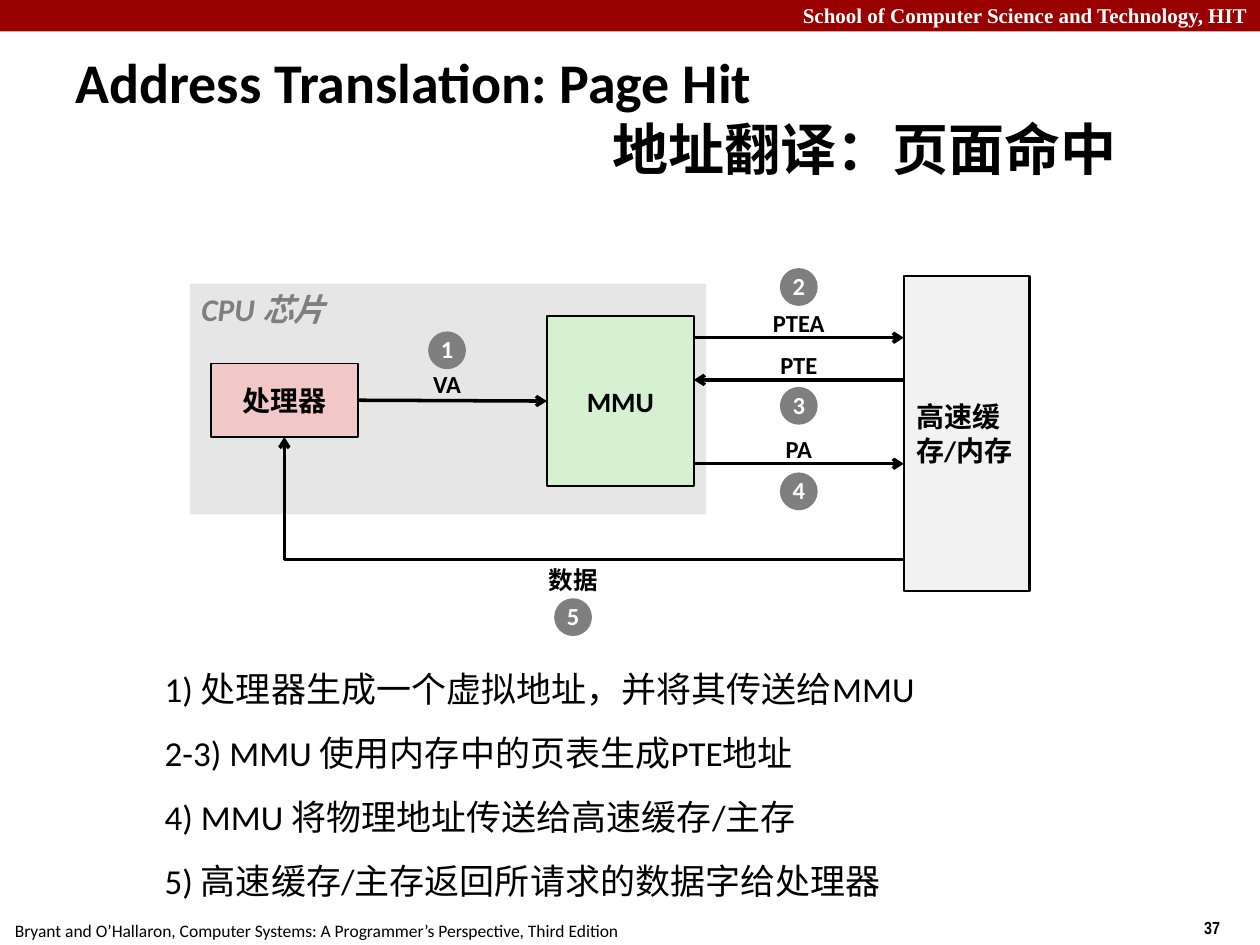
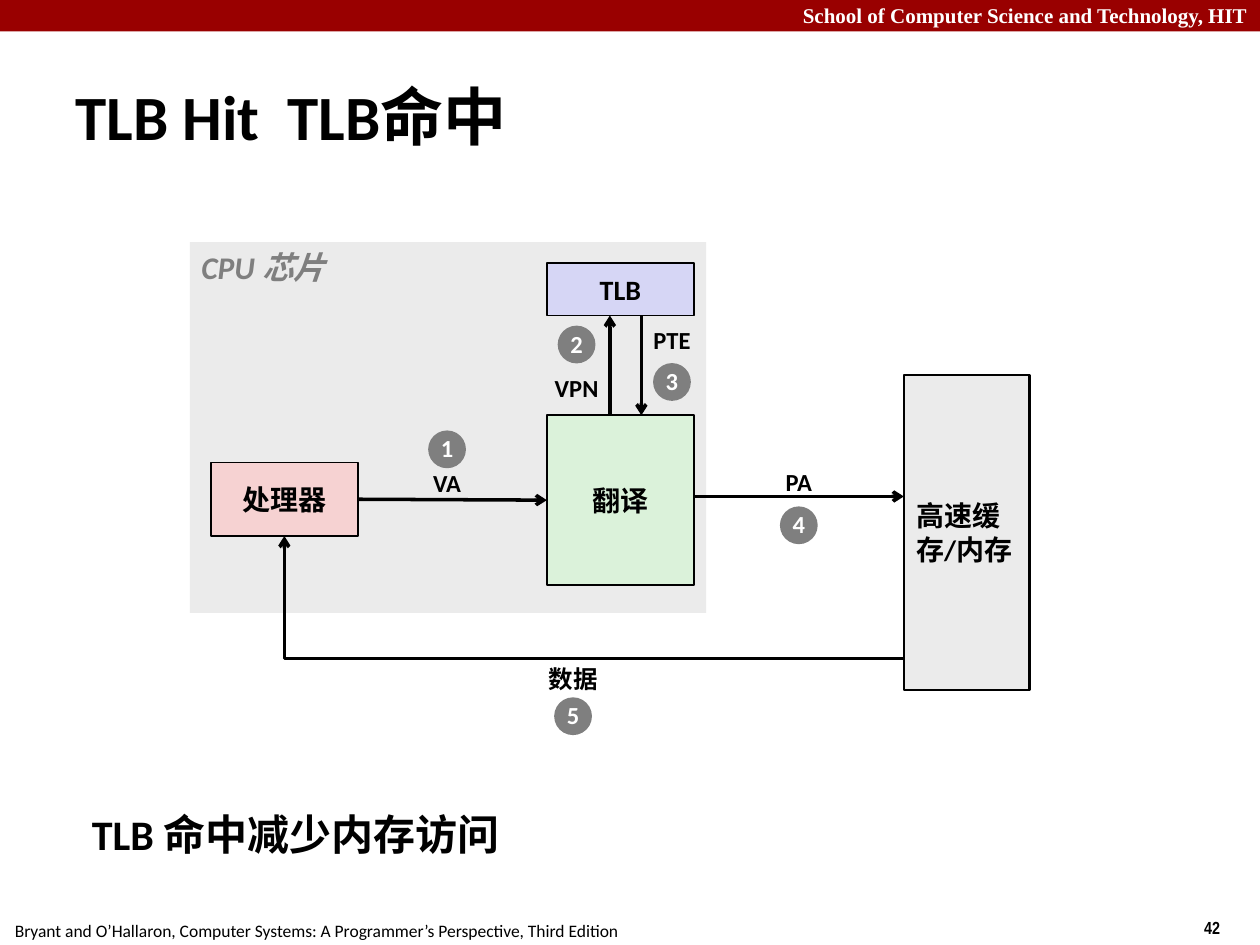
import dataclasses

import lxml.etree
import pptx
import pptx.dml.color
import pptx.enum.shapes
import pptx.enum.text
import pptx.oxml.ns
import pptx.util

Pt = pptx.util.Pt
SHAPE = pptx.enum.shapes.MSO_SHAPE
ALIGN = pptx.enum.text.PP_ALIGN
ANCHOR = pptx.enum.text.MSO_ANCHOR
qn = pptx.oxml.ns.qn


@dataclasses.dataclass(frozen=True)
class Theme:
    """Colours, fonts and type sizes of the deck."""
    band: str = "990000"
    ink: str = "000000"
    paper: str = "FFFFFF"
    grey: str = "7F7F7F"
    body_font: str = "Calibri"
    band_font: str = "Times New Roman"
    number_font: str = "Arial Narrow"
    footer_size: int = 10
    band_size: int = 12
    label_size: int = 14
    box_size: int = 16
    chip_size: int = 18
    list_size: int = 20
    note_size: int = 24
    title_size: int = 32
    big_title_size: int = 36


@dataclasses.dataclass(frozen=True)
class Palette:
    """Fills of the diagram boxes on one slide."""
    chip: str
    processor: str
    unit: str
    memory: str


T = Theme()
HIT_FILLS = Palette("E6E6E6", "F1C7C7", "D5F1CF", "F2F2F2")
TLB_FILLS = Palette("EBEBEB", "F6D2D2", "DBF2DA", "EBEBEB")
TLB_FILL = "D6D6F5"
SLIDE_W, SLIDE_H = 720, 540
DIAGRAM_X = 108.5
CIRCLE = 21.6
LINKS_X = 348


def rgb(value):
    """Turn a hex string into a colour."""
    return pptx.dml.color.RGBColor.from_string(value)


def write(sp, lines, size, color=T.ink, bold=True, italic=False, font=T.body_font,
          align=ALIGN.LEFT, anchor=ANCHOR.TOP, wrap=True, before=0, spacing=None):
    """Fill a shape with one paragraph for each line and return its paragraphs."""
    tf = sp.text_frame
    tf.word_wrap = wrap
    tf.vertical_anchor = anchor
    tf.text = "\n".join(lines)
    for p in tf.paragraphs:
        p.alignment = align
        p.space_before = Pt(before)
        p.line_spacing = spacing
        p.font.size = Pt(size)
        p.font.name = font
        p.font.bold = bold
        p.font.italic = italic
        p.font.color.rgb = rgb(color)
    return tf.paragraphs


def text(s, x, y, w, h, lines, size, **style):
    """Add a text box."""
    sp = s.shapes.add_textbox(Pt(x), Pt(y), Pt(w), Pt(h))
    return write(sp, lines, size, **style)


def shape(s, kind, x, y, w, h, fill, line=0):
    """Add a filled preset shape, outlined when a line width is given."""
    sp = s.shapes.add_shape(kind, Pt(x), Pt(y), Pt(w), Pt(h))
    sp.shadow.inherit = False
    sp.fill.solid()
    sp.fill.fore_color.rgb = rgb(fill)
    if line:
        sp.line.color.rgb = rgb(T.ink)
        sp.line.width = Pt(line)
    else:
        sp.line.fill.background()
    return sp


def box(s, x, y, w, h, lines, fill, line=1, align=ALIGN.CENTER):
    """Add a labelled box of the diagram."""
    sp = shape(s, SHAPE.RECTANGLE, x, y, w, h, fill, line)
    write(sp, lines, T.box_size, align=align, anchor=ANCHOR.MIDDLE, wrap=False)
    return sp


def arrow_line(sp):
    """Draw a line as a black arrow."""
    sp.line.color.rgb = rgb(T.ink)
    sp.line.width = Pt(2)
    ln = sp._element.spPr.find(qn("a:ln"))
    lxml.etree.SubElement(ln, qn("a:tailEnd"), type="arrow")


def arrow(s, x1, y1, x2, y2):
    """Add a straight arrow."""
    c = s.shapes.add_connector(pptx.enum.shapes.MSO_CONNECTOR.STRAIGHT,
                               Pt(x1), Pt(y1), Pt(x2), Pt(y2))
    arrow_line(c)
    lxml.etree.SubElement(c._element.spPr, qn("a:effectLst"))
    return c


def step(s, number, name, x, label_y, circle_y):
    """Add a signal name and its numbered circle, both centred on x."""
    text(s, x - 22, label_y - 12, 44, 24, [name], T.label_size, align=ALIGN.CENTER,
         anchor=ANCHOR.MIDDLE, wrap=False, spacing=0.98)
    sp = shape(s, SHAPE.OVAL, x - CIRCLE / 2, circle_y - CIRCLE / 2, CIRCLE, CIRCLE, T.grey)
    write(sp, [str(number)], T.label_size, color=T.paper, align=ALIGN.CENTER,
          anchor=ANCHOR.MIDDLE, wrap=False, spacing=0.98)


def frame(prs, number):
    """Add a slide with the top band and the footer."""
    s = prs.slides.add_slide(prs.slide_layouts[6])
    shape(s, SHAPE.RECTANGLE, 0, 0, SLIDE_W, 18, T.band)
    text(s, 0, -2, SLIDE_W, 22, ["School of Computer Science and Technology, HIT"],
         T.band_size, color=T.paper, font=T.band_font, align=ALIGN.RIGHT)
    text(s, 1.4, 522, 380, 19.4,
         ["Bryant and O’Hallaron, Computer Systems: A Programmer’s Perspective, Third Edition"],
         T.footer_size, bold=False)
    text(s, 681, 520.6, 39, 19.4, [str(number)], T.footer_size, font=T.number_font)
    return s


def title(s, lines, size):
    """Add the slide title and return its paragraphs."""
    return text(s, 36, 34.6, 684, 62, lines, size, anchor=ANCHOR.MIDDLE)


def data_loop(s, x1, y1, x2, y2):
    """Add the arrow that runs left and then up, back to the processor."""
    fb = s.shapes.build_freeform(Pt(x1), Pt(y1), scale=1.0)
    fb.add_line_segments([(Pt(x2), Pt(y1)), (Pt(x2), Pt(y2))], close=False)
    sp = fb.convert_to_shape()
    sp.shadow.inherit = False
    sp.fill.background()
    arrow_line(sp)


def cpu_diagram(s, x, y, chip_top, chip_h, unit_name, fills):
    """Draw chip, processor, unit, memory, VA arrow and data loop from a corner."""
    shape(s, SHAPE.RECTANGLE, x, y + chip_top, 295, chip_h, fills.chip)
    text(s, x - 0.5, y + chip_top, 150, 29, ["CPU 芯片"], T.chip_size,
         color=T.grey, italic=True)
    processor = box(s, x + 12, y + 50, 84, 42, ["处理器"], fills.processor)
    unit = box(s, x + 204, y + 23, 84, 97, [unit_name], fills.unit)
    box(s, x + 408, y, 72, 180, ["高速缓", "存/内存"], fills.memory, 1.5, ALIGN.LEFT)
    va = arrow(s, x + 96, y + 71, x + 204, y + 71)
    va.begin_connect(processor, 3)
    va.end_connect(unit, 1)
    step(s, 1, "VA", x + 147, y + 62, y + 42.5)
    data_loop(s, x + 408, y + 162, x + 54, y + 92)
    step(s, 5, "数据", x + 219, y + 174, y + 195)


def memory_link(s, x, y, number, name, circle_dy, to_memory=True):
    """Add one numbered arrow between the unit and the memory."""
    left, right = x + 288, x + 408
    ends = (left, right) if to_memory else (right, left)
    arrow(s, ends[0], y, ends[1], y)
    step(s, number, name, x + LINKS_X, y - 8, y + circle_dy)


def tlb_links(s, x, y):
    """Draw the TLB box and its two arrows, with the unit 87 points below its top."""
    box(s, x, y, 84, 30, ["TLB"], TLB_FILL)
    arrow(s, x + 36, y + 87, x + 36, y + 30)
    step(s, 2, "VPN", x + 17, y + 72, y + 46.6)
    arrow(s, x + 54, y + 30, x + 54, y + 87)
    step(s, 3, "PTE", x + 71.5, y + 44.2, y + 68)


def page_hit_slide(prs):
    """Build the page hit slide."""
    s = frame(prs, 37)
    second = title(s, ["Address Translation: Page Hit", "地址翻译：页面命中"], T.title_size)[1]
    second._p.get_or_add_pPr().set("marL", str(Pt(307)))
    x, y = DIAGRAM_X, 157.7
    cpu_diagram(s, x, y, 4.3, 132, "MMU", HIT_FILLS)
    memory_link(s, x, y + 35.3, 2, "PTEA", -29)
    memory_link(s, x, y + 59.4, 3, "PTE", 14.8, to_memory=False)
    memory_link(s, x, y + 107.3, 4, "PA", 15.8)
    text(s, 87, 378, 534, 148,
         ["1) 处理器生成一个虚拟地址，并将其传送给MMU",
          "2-3) MMU 使用内存中的页表生成PTE地址",
          "4) MMU 将物理地址传送给高速缓存/主存",
          "5) 高速缓存/主存返回所请求的数据字给处理器"],
         T.list_size, bold=False, before=12.5)


def tlb_hit_slide(prs):
    """Build the TLB hit slide."""
    s = frame(prs, 42)
    p = title(s, ["TLB Hit\tTLB命中"], T.big_title_size)[0]
    tabs = lxml.etree.Element(qn("a:tabLst"))
    lxml.etree.SubElement(tabs, qn("a:tab"), pos=str(Pt(121.4)), algn="l")
    p._p.get_or_add_pPr().find(qn("a:defRPr")).addprevious(tabs)
    x, y = DIAGRAM_X, 214.3
    cpu_diagram(s, x, y, -76, 212, "翻译", TLB_FILLS)
    memory_link(s, x, y + 69.4, 4, "PA", 16.5)
    tlb_links(s, x + 204, y - 64)
    text(s, 45.4, 458.6, 566, 45, ["TLB 命中减少内存访问"], T.note_size, before=6)


def main():
    """Build and save the deck."""
    prs = pptx.Presentation()
    prs.slide_width, prs.slide_height = Pt(SLIDE_W), Pt(SLIDE_H)
    page_hit_slide(prs)
    tlb_hit_slide(prs)
    prs.save("out.pptx")


if __name__ == "__main__":
    main()
